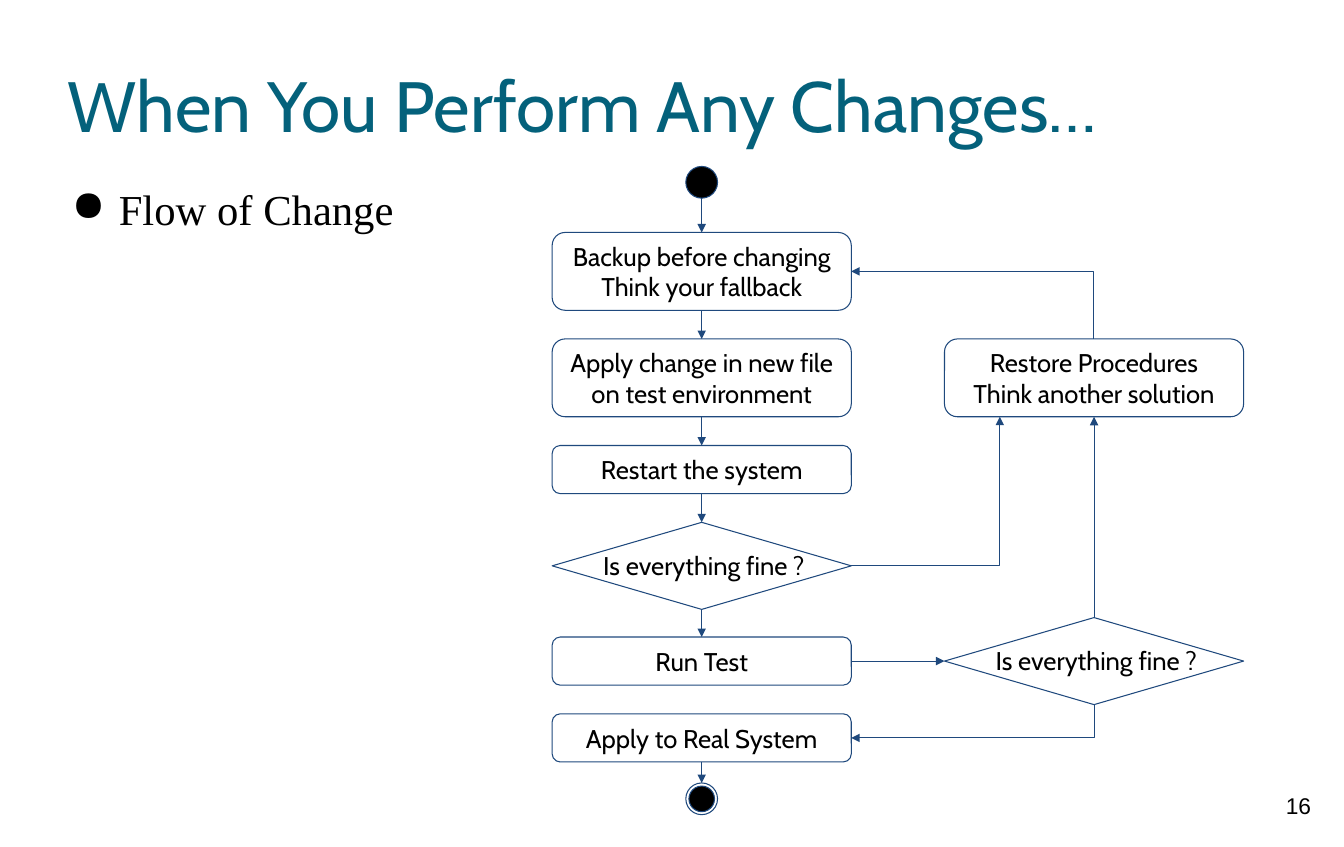
from lxml import etree
from pptx import Presentation, util as u
from pptx.dml.color import RGBColor
from pptx.enum import shapes, text
from pptx.oxml.ns import qn

INK, LINE, HEADING = "000000", "1F497D", "04617B"


def colour(value):
    """Turn a hex string into a colour."""
    return RGBColor.from_string(value)


class FlowSlide:
    """Hold the slide and the flow chart style, and draw its elements."""

    def __init__(self, slide):
        self.slide = slide
        self.font = "Cabin"
        self.size = 18
        self.inset = 0.1

    def place(self, shape, left, top, width, height):
        """Move a shape to a position and size."""
        shape.left, shape.top = u.Inches(left), u.Inches(top)
        shape.width, shape.height = u.Inches(width), u.Inches(height)

    def add_words(self, shape, lines, size=None, font=None, ink=INK,
                  align=text.PP_ALIGN.CENTER, anchor=text.MSO_ANCHOR.MIDDLE, inset=None):
        """Add lines as runs of one paragraph and return it."""
        frame = shape.text_frame
        frame.word_wrap = True
        frame.auto_size = text.MSO_AUTO_SIZE.NONE
        frame.vertical_anchor = anchor
        margin = u.Inches(self.inset if inset is None else inset)
        frame.margin_left = frame.margin_right = margin
        frame.margin_top = frame.margin_bottom = margin
        paragraph = frame.paragraphs[0]
        paragraph.alignment = align
        for number, line in enumerate(lines):
            if number:
                paragraph.add_line_break()
            run = paragraph.add_run()
            run.text = line
            run.font.size = u.Pt(size or self.size)
            run.font.name = font or self.font
            run.font.color.rgb = colour(ink)
        return paragraph

    def title(self, words):
        """Format and fill the title placeholder."""
        heading = self.slide.shapes.title
        self.place(heading, 0.66, 0.33, 11.81, 1.38)
        self.add_words(heading, [words], 50, ink=HEADING, align=text.PP_ALIGN.LEFT, inset=0)

    def label(self, box, words, **style):
        """Add a text box and return its paragraph."""
        area = self.slide.shapes.add_textbox(*map(u.Inches, box))
        return self.add_words(area, [words], anchor=text.MSO_ANCHOR.TOP, **style)

    def bullet(self, box, words):
        """Add a bulleted line."""
        point = self.label(box, words, size=30, font="Times New Roman",
                           align=text.PP_ALIGN.LEFT, inset=0)
        point.line_spacing = 1.15
        props = point._p.get_or_add_pPr()
        props.set("marL", str(u.Inches(0.5)))
        props.set("indent", str(u.Inches(-0.46)))
        mark = etree.SubElement(props, qn("a:buClr"))
        etree.SubElement(mark, qn("a:srgbClr")).set("val", INK)
        etree.SubElement(props, qn("a:buChar")).set("char", "●")

    def outline(self, kind, left, top, width, height, fill=None):
        """Add a thinly outlined shape."""
        shape = self.slide.shapes.add_shape(
            kind, *map(u.Inches, (left, top, width, height)))
        shape.shadow.inherit = False
        shape.line.color.rgb = colour(LINE)
        shape.line.width = u.Pt(0.75)
        if fill:
            shape.fill.solid()
            shape.fill.fore_color.rgb = colour(fill)
        else:
            shape.fill.background()
        return shape

    def step(self, left, top, width, height, lines):
        """Add a rounded activity box."""
        self.add_words(self.outline(shapes.MSO_SHAPE.ROUNDED_RECTANGLE,
                                    left, top, width, height), lines)

    def decision(self, left, top, width, height, question):
        """Add a diamond with its question."""
        self.outline(shapes.MSO_SHAPE.DIAMOND, left, top, width, height)
        self.label((left + 0.4, top + 0.17, 2.26, 0.5), question,
                   align=text.PP_ALIGN.LEFT)

    def dot(self, x, y, diameter, fill=None):
        """Add a circle around a centre."""
        self.outline(shapes.MSO_SHAPE.FLOWCHART_CONNECTOR, x - diameter / 2,
                     y - diameter / 2, diameter, diameter, fill)

    def arrow(self, start, end, kind=shapes.MSO_CONNECTOR.STRAIGHT):
        """Add an arrow and return it."""
        link = self.slide.shapes.add_connector(kind, *map(u.Inches, (*start, *end)))
        link.line.color.rgb = colour(LINE)
        link.line.width = u.Pt(0.75)
        props = link._element.spPr
        etree.SubElement(props.find(qn("a:ln")), qn("a:tailEnd")).set("type", "triangle")
        etree.SubElement(props, qn("a:effectLst"))
        return link

    def corner(self, start, end, upright_first=False):
        """Add an arrow with one right-angled bend."""
        if upright_first:
            x, y = (start[0] + end[0]) / 2, (start[1] + end[1]) / 2
            start, end = [(x + b - y, y - a + x) for a, b in (start, end)]
        link = self.arrow(start, end, shapes.MSO_CONNECTOR.ELBOW)
        props = link._element.spPr
        props.find(qn("a:prstGeom")).set("prst", "bentConnector2")
        if upright_first:
            props.find(qn("a:xfrm")).set("rot", str(90 * 60000))


def main():
    """Build and save the slide."""
    deck = Presentation()
    deck.slide_width, deck.slide_height = u.Inches(13.12), u.Inches(8.27)
    flow = FlowSlide(deck.slides.add_slide(deck.slide_layouts[5]))
    flow.title("When You Perform Any Changes…")
    flow.bullet((0.66, 1.71, 11.84, 0.63), "Flow of Change")
    flow.label((12.28, 7.63, 0.79, 0.63), "16", size=16, font="Arial")

    main_left, side_left, width = 5.39, 9.22, 2.92
    main_right = main_left + width
    main_x, side_x = main_left + width / 2, side_left + width / 2
    tall, short, diamond = 0.76, 0.47, 0.85
    backup, apply_test, restart, check, run_test, release = 2.27, 3.31, 4.35, 5.1, 6.22, 6.97
    final_check = 6.03
    question = "Is everything fine ?"
    start_y, finish_y, ring = 1.78, 7.8, 0.31

    for left, top, height, lines in (
            (main_left, backup, tall, ["Backup before changing", "Think your fallback"]),
            (main_left, apply_test, tall, ["Apply change in new file on test environment"]),
            (main_left, restart, short, ["Restart the system"]),
            (main_left, run_test, short, ["Run Test"]),
            (main_left, release, short, ["Apply to Real System"]),
            (side_left, apply_test, tall, ["Restore Procedures", "Think another solution"])):
        flow.step(left, top, width, height, lines)
    flow.decision(main_left, check, width, diamond, question)
    flow.decision(side_left, final_check, width, diamond, question)
    flow.dot(main_x, start_y, ring, INK)
    flow.dot(main_x, finish_y, ring)
    flow.dot(main_x, finish_y, 0.25, INK)

    for bottom, top in ((start_y + ring / 2, backup), (backup + tall, apply_test),
                        (apply_test + tall, restart), (restart + short, check),
                        (check + diamond, run_test),
                        (release + short, finish_y - ring / 2)):
        flow.arrow((main_x, bottom), (main_x, top))
    test_y = run_test + short / 2
    flow.arrow((main_right, test_y), (side_left, test_y))
    flow.arrow((side_x, final_check), (side_x, apply_test + tall))
    flow.corner((main_right, check + diamond / 2), (9.76, apply_test + tall))
    flow.corner((side_x, apply_test), (main_right, backup + tall / 2), True)
    flow.corner((side_x, final_check + diamond), (main_right, release + short / 2), True)
    deck.save("out.pptx")


if __name__ == "__main__":
    main()
